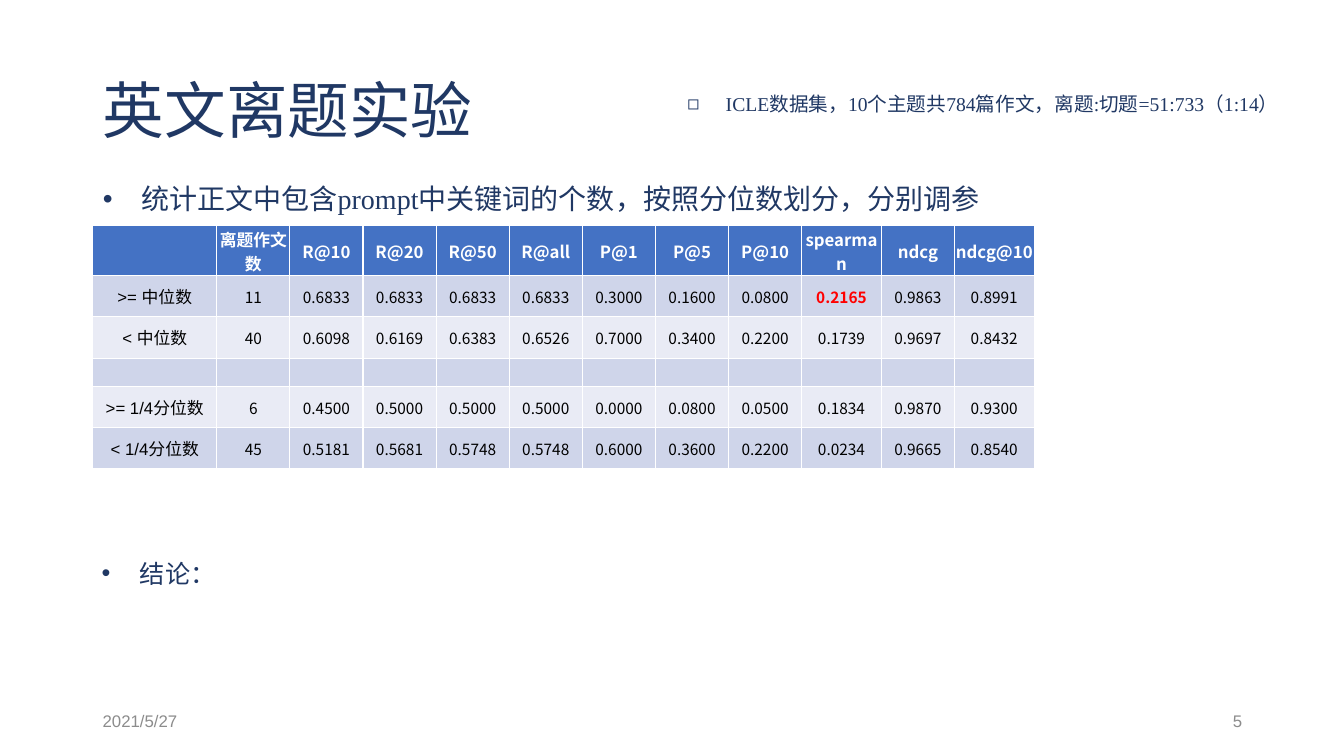
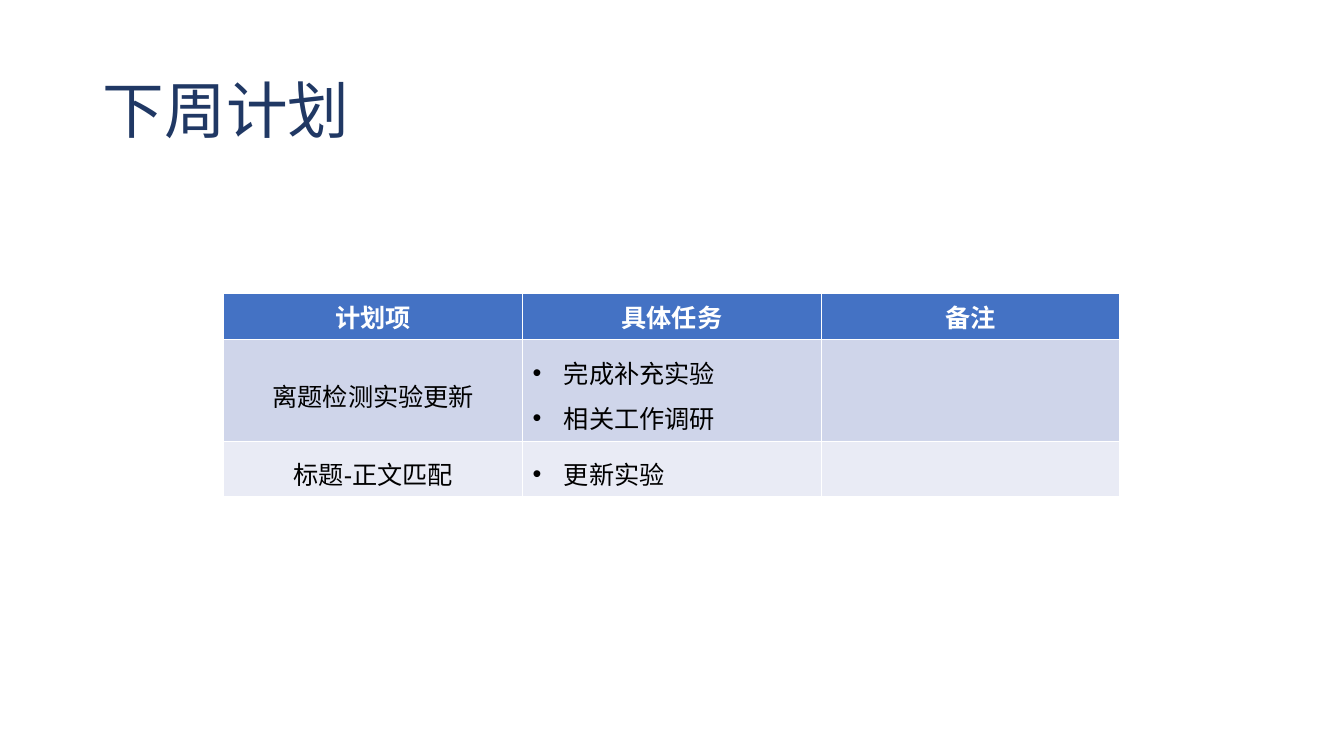
from lxml import etree
from pptx import Presentation
from pptx.dml.color import RGBColor
from pptx.enum import text
from pptx.oxml import ns
from pptx.util import Inches, Pt

# Shared style
COLORS = {"navy": "203864", "gray": "8C8C8C", "header": "4472C4", "band": "CFD5EA",
          "light": "E9EBF5", "white": "FFFFFF", "black": "000000", "red": "FF0000"}
CJK = "Noto Sans CJK SC"
SERIF = "Times New Roman"
LEFT, RIGHT, CENTER = text.PP_ALIGN.LEFT, text.PP_ALIGN.RIGHT, text.PP_ALIGN.CENTER

TITLE = {"size": 44, "name": SERIF, "color": "navy"}
FOOTER = {"size": 12, "name": "Arial", "color": "gray"}
METRIC_HEADER = {"size": 12, "name": CJK, "color": "white", "bold": True}
METRIC_LABEL = {"size": 12, "name": "Arial", "color": "black", "bold": False}
METRIC_VALUE = {**METRIC_LABEL, "size": 11, "name": CJK}
PLAN_HEADER = {"size": 18, "name": "Arial", "color": "white", "bold": True}
PLAN_BODY = {**PLAN_HEADER, "color": "black", "bold": False}
TIGHT = {"left": 0.01, "top": 0.01, "right": 0.01, "bottom": 0}

# Content
EXPERIMENT_TITLE = "英文离题实验"
METHOD = "统计正文中包含prompt中关键词的个数，按照分位数划分，分别调参"
NOTES = [  # text, box, size, bullet
    ("结论：", (0.41, 5.41, 12.26, 0.82), 18, "•"),
    ("ICLE数据集，10个主题共784篇作文，离题:切题=51:733（1:14）",
     (6.22, 0.8, 6.67, 0.37), 14, "◻"),
]
FOOTERS = [("2021/5/27", 0.92, LEFT), ("5", 9.42, RIGHT)]
METRICS = [
    ["", "离题作文数", "R@10", "R@20", "R@50", "R@all", "P@1", "P@5", "P@10",
     "spearman", "ndcg", "ndcg@10"],
    [">= 中位数", "11", "0.6833", "0.6833", "0.6833", "0.6833", "0.3000", "0.1600",
     "0.0800", "0.2165", "0.9863", "0.8991"],
    ["< 中位数", "40", "0.6098", "0.6169", "0.6383", "0.6526", "0.7000", "0.3400",
     "0.2200", "0.1739", "0.9697", "0.8432"],
    [""] * 12,
    [">= 1/4分位数", "6", "0.4500", "0.5000", "0.5000", "0.5000", "0.0000", "0.0800",
     "0.0500", "0.1834", "0.9870", "0.9300"],
    ["< 1/4分位数", "45", "0.5181", "0.5681", "0.5748", "0.5748", "0.6000", "0.3600",
     "0.2200", "0.0234", "0.9665", "0.8540"],
]
BEST_CELL = (1, 9)
PLAN_TITLE = "下周计划"
PLAN = [
    ["计划项", "具体任务", "备注"],
    ["离题检测实验更新", ["完成补充实验", "相关工作调研"], ""],
    ["标题-正文匹配", ["更新实验"], ""],
]


def place(shape, box):
    for side, value in zip(("left", "top", "width", "height"), box):
        setattr(shape, side, Inches(value))


def add_bullet(paragraph, character, margin, hang):
    properties = paragraph._p.get_or_add_pPr()
    properties.set("marL", str(Inches(margin)))
    properties.set("indent", str(-Inches(hang)))
    etree.SubElement(properties, ns.qn("a:buFont")).set("typeface", "Arial")
    etree.SubElement(properties, ns.qn("a:buChar")).set("char", character)


def write(paragraph, content, style, align=LEFT, spacing=None, bullet=None):
    """Fill one paragraph; bullet is (character, margin, hanging indent)."""
    if bullet:
        add_bullet(paragraph, *bullet)
    for name, value in {"alignment": align, "line_spacing": spacing,
                        "space_before": Pt(0)}.items():
        setattr(paragraph, name, value)
    if not content:
        end = etree.SubElement(paragraph._p, ns.qn("a:endParaRPr"))
        end.set("sz", str(style["size"] * 100))
        return
    run = paragraph.add_run()
    run.text = content
    for name, value in style.items():
        if name == "color":
            run.font.color.rgb = RGBColor.from_string(COLORS[value])
        else:
            setattr(run.font, name, Pt(value) if name == "size" else value)
    etree.SubElement(run._r.get_or_add_rPr(), ns.qn("a:ea")).set("typeface", CJK)


def set_frame(shape, anchor=text.MSO_ANCHOR.TOP, auto_size=text.MSO_AUTO_SIZE.NONE):
    frame = shape.text_frame
    for name, value in {"word_wrap": True, "vertical_anchor": anchor,
                        "auto_size": auto_size}.items():
        setattr(frame, name, value)
    return frame.paragraphs[0]


def add_slide(presentation, layout, title):
    slide = presentation.slides.add_slide(presentation.slide_layouts[layout])
    place(slide.shapes.title, (0.92, 0.4, 11.5, 1.45))
    paragraph = set_frame(slide.shapes.title, text.MSO_ANCHOR.MIDDLE)
    write(paragraph, title, TITLE, spacing=0.9)
    return slide


def add_text(slide, box, content, style, anchor=text.MSO_ANCHOR.TOP, **layout):
    shape = slide.shapes.add_textbox(*map(Inches, box))
    write(set_frame(shape, anchor), content, style, **layout)


def add_grid(slide, left, top, widths, heights):
    """Add a table with a coloured header and alternating bands."""
    table = slide.shapes.add_table(
        len(heights), len(widths), Inches(left), Inches(top),
        Inches(sum(widths)), Inches(sum(heights))).table
    for column, width in zip(table.columns, widths):
        column.width = Inches(width)
    for index, (row, height) in enumerate(zip(table.rows, heights)):
        row.height = Inches(height)
        color = "header" if index == 0 else "band" if index % 2 else "light"
        for cell in row.cells:
            cell.fill.solid()
            cell.fill.fore_color.rgb = RGBColor.from_string(COLORS[color])
            cell.vertical_anchor = text.MSO_ANCHOR.MIDDLE
    return table


def build_experiment(presentation):
    slide = add_slide(presentation, 1, EXPERIMENT_TITLE)

    # Metrics table: wide label column, two wider score columns, the rest equal
    regular = (9.34 - 1.23 - 2 * 0.79) / 9
    widths = [1.23] + [regular] * 8 + [0.79, regular, 0.79]
    table = add_grid(slide, 0.92, 2.24, widths, [0.41, 0.41, 0.41, 0.28, 0.41, 0.41])
    for i, row in enumerate(METRICS):
        for j, value in enumerate(row):
            cell = table.cell(i, j)
            style = METRIC_HEADER if i == 0 else METRIC_VALUE if j else METRIC_LABEL
            if (i, j) == BEST_CELL:
                style = {**style, "color": "red", "bold": True}
            if j or not value:
                for side, margin in TIGHT.items():
                    setattr(cell, f"margin_{side}", Inches(margin))
            write(cell.text_frame.paragraphs[0], value, style, CENTER)

    # Bulleted statements
    body = slide.placeholders[1]
    place(body, (0.92, 1.67, 11.5, 0.48))
    write(set_frame(body), METHOD, {**TITLE, "size": 20}, spacing=1.25,
          bullet=("•", 0.38, 0.38))
    for content, box, size, character in NOTES:
        add_text(slide, box, content, {**TITLE, "size": size}, spacing=1.25,
                 bullet=(character, 0.88, 0.38))

    # Footer
    for content, left, align in FOOTERS:
        add_text(slide, (left, 6.95, 3, 0.4), content, FOOTER,
                 text.MSO_ANCHOR.MIDDLE, align=align)


def build_plan(presentation):
    slide = add_slide(presentation, 5, PLAN_TITLE)
    table = add_grid(slide, 2.22, 2.91, [8.89 / 3] * 3, [0.41] * 3)
    for i, row in enumerate(PLAN):
        for j, value in enumerate(row):
            frame = table.cell(i, j).text_frame
            style, spacing = (PLAN_BODY, 1.25) if i else (PLAN_HEADER, None)
            if isinstance(value, str):
                write(frame.paragraphs[0], value, style, CENTER, spacing)
                continue
            for k, task in enumerate(value):
                paragraph = frame.add_paragraph() if k else frame.paragraphs[0]
                write(paragraph, task, style, spacing=spacing, bullet=("•", 0.31, 0.31))


def main():
    presentation = Presentation()
    presentation.slide_width, presentation.slide_height = Inches(13.33), Inches(7.5)
    build_experiment(presentation)
    build_plan(presentation)
    presentation.save("out.pptx")


if __name__ == "__main__":
    main()
